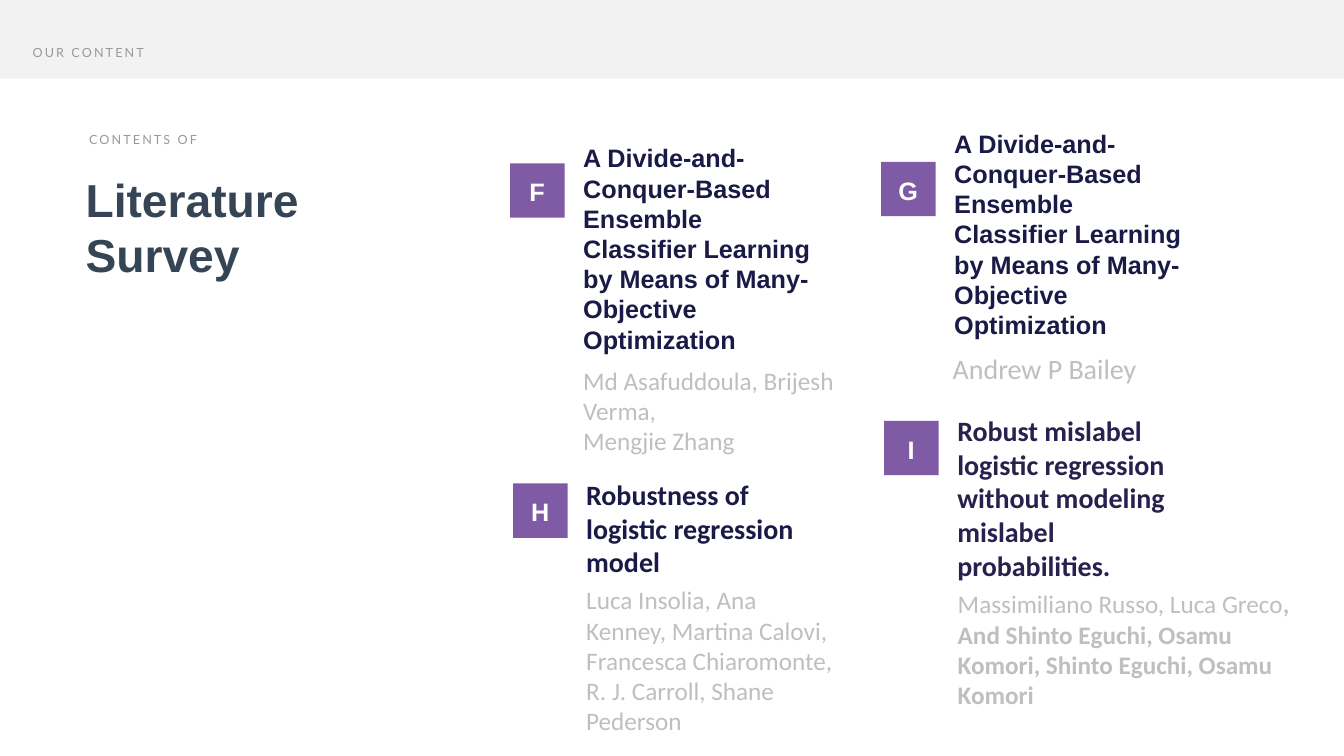
from pptx import Presentation
from pptx.dml.color import RGBColor
from pptx.enum import shapes, text
from pptx.util import Inches, Pt

THEME = {
    "band": "F2F2F2", "badge": "7F5BA6",
    "label": {"font": "Lato", "size": 18, "color": "999999", "spacing": 3},
    "title": {"font": "Arial", "size": 66, "color": "364556", "bold": True},
    "letter": {"font": "Arial", "size": 36, "color": "FFFFFF", "bold": True},
    "paper": {"font": "Arial", "size": 36, "color": "1A1A47", "bold": True},
    "paper_large": {"font": "Calibri", "size": 40, "color": "1A1A47", "bold": True},
    "paper_violet": {"font": "Calibri", "size": 40, "color": "28204D", "bold": True},
    "authors": {"font": "Calibri", "size": 36, "color": "BFBFBF"},
    "authors_large": {"font": "Calibri", "size": 40, "color": "BFBFBF"},
}

BAND = (0, -0.39, 26.66, 1.95)
BADGE_SIZE = 1.08
LETTER_OFFSET = (0.06, 0.21)
LETTER_SIZE = (0.95, 0.71)

LABELS = [
    ("OUR CONTENT", (0.55, 0.84, 2.47, 0.4)),
    ("CONTENTS OF", (1.67, 2.56, 2.41, 0.4)),
]
TITLE = ("Literature Survey", (1.6, 3.34, 6.6, 2.32))

ENSEMBLE = ("A Divide-and-Conquer-Based Ensemble Classifier Learning "
            "by Means of Many-Objective Optimization")
PAPERS = [
    {"letter": "F", "badge": (10.12, 3.24),
     "paper": (ENSEMBLE, (11.47, 2.78, 4.71, 4.34), "paper"),
     "authors": (["Md Asafuddoula, Brijesh Verma,", "Mengjie Zhang"],
                 (11.47, 7.19, 6.27, 1.92), "authors")},
    {"letter": "G", "badge": (17.48, 3.21),
     "paper": (ENSEMBLE, (18.83, 2.49, 4.71, 4.34), "paper"),
     "authors": (["Andrew P Bailey"], (18.8, 6.92, 4.71, 0.77), "authors_large")},
    {"letter": "H", "badge": (10.18, 9.59),
     "paper": ("Robustness of logistic regression model",
               (11.53, 9.43, 4.71, 2.12), "paper_large"),
     "authors": (["Luca Insolia, Ana Kenney, Martina Calovi, Francesca Chiaromonte, "
                  "R. J. Carroll, Shane Pederson"],
                 (11.53, 11.55, 5.14, 3.13), "authors")},
    {"letter": "I", "badge": (17.54, 8.35),
     "paper": ("Robust mislabel logistic regression without modeling "
               "mislabel probabilities.", (18.89, 8.16, 4.71, 3.47), "paper_violet"),
     "authors": ([["Massimiliano Russo, Luca Greco", ("bold", ",")],
                  [("bold", "And Shinto Eguchi, Osamu Komori, Shinto Eguchi, Osamu Komori")]],
                 (18.9, 11.63, 6.93, 2.52), "authors")},
]


def add_rect(parent, box, color):
    sp = parent.add_shape(shapes.MSO_SHAPE.RECTANGLE, *map(Inches, box))
    sp.shadow.inherit = False
    sp.fill.solid()
    sp.fill.fore_color.rgb = RGBColor.from_string(color)
    sp.line.fill.background()


def style_run(r, style, bold):
    r.font.name = style["font"]
    r.font.size = Pt(style["size"])
    r.font.bold = bold
    r.font.color.rgb = RGBColor.from_string(style["color"])
    if "spacing" in style:
        r.font._element.set("spc", str(style["spacing"] * 100))


def add_text(parent, paragraphs, box, style_name, align=None, wrap=True):
    style = THEME[style_name]
    tf = parent.add_textbox(*map(Inches, box)).text_frame
    tf.word_wrap = wrap
    for i, pieces in enumerate(paragraphs):
        p = tf.paragraphs[0] if i == 0 else tf.add_paragraph()
        p.alignment = align
        for piece in [pieces] if isinstance(pieces, str) else pieces:
            marked = isinstance(piece, tuple)
            r = p.add_run()
            r.text = piece[1] if marked else piece
            style_run(r, style, marked or style.get("bold", False))


def add_badge(parent, letter, left, top):
    group = parent.add_group_shape().shapes
    add_rect(group, (left, top, BADGE_SIZE, BADGE_SIZE), THEME["badge"])
    dx, dy = LETTER_OFFSET
    add_text(group, [letter], (left + dx, top + dy, *LETTER_SIZE), "letter",
             text.PP_ALIGN.CENTER)


def main():
    prs = Presentation()
    prs.slide_width, prs.slide_height = Inches(26.66), Inches(15)
    s = prs.slides.add_slide(prs.slide_layouts[6])
    add_rect(s.shapes, BAND, THEME["band"])
    for label, box in LABELS:
        add_text(s.shapes, [label], box, "label", wrap=False)
    title, box = TITLE
    add_text(s.shapes, [title], box, "title")
    for entry in PAPERS:
        add_badge(s.shapes, entry["letter"], *entry["badge"])
        paper, box, style_name = entry["paper"]
        add_text(s.shapes, [paper], box, style_name)
        add_text(s.shapes, *entry["authors"])
    prs.save("out.pptx")


if __name__ == "__main__":
    main()
